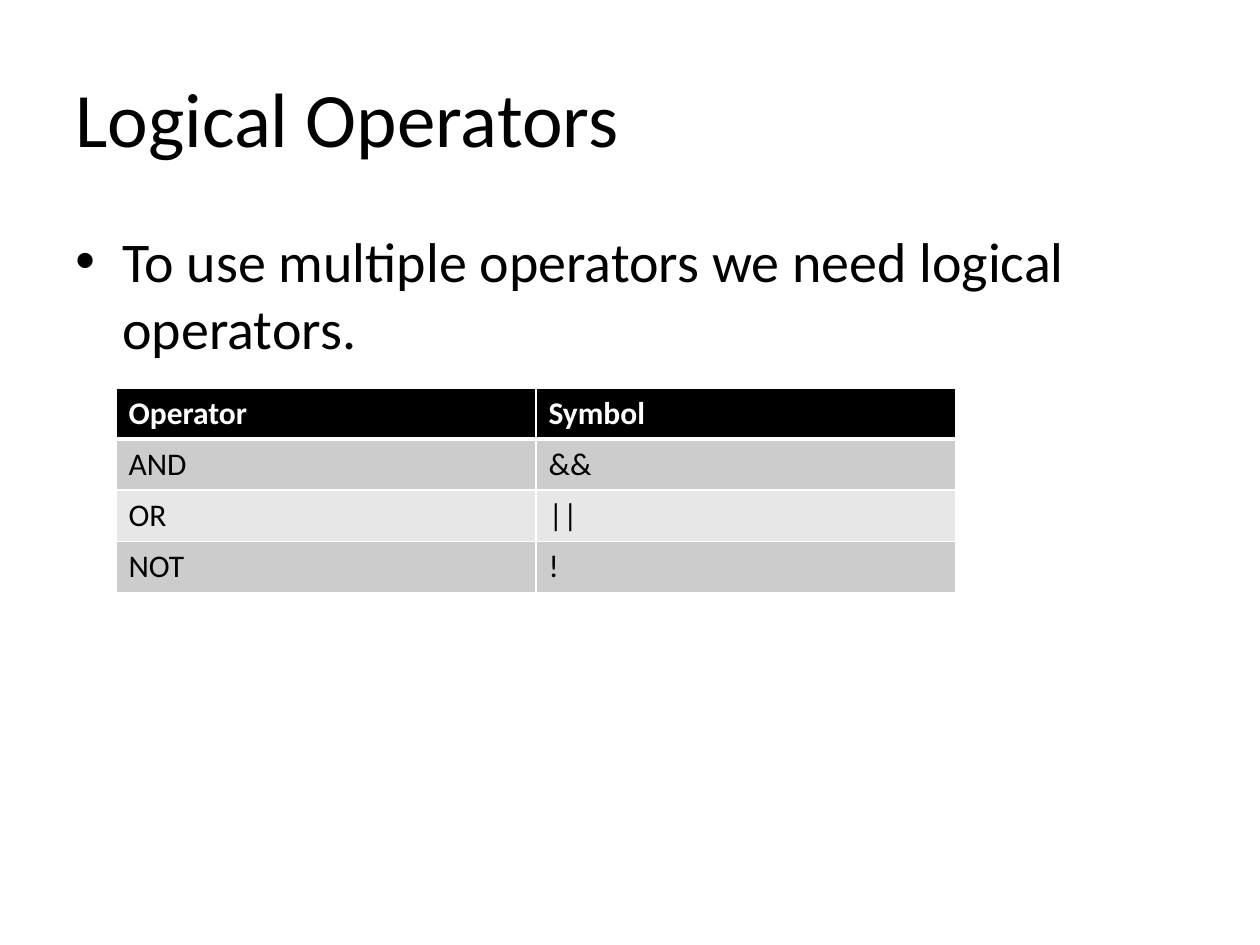
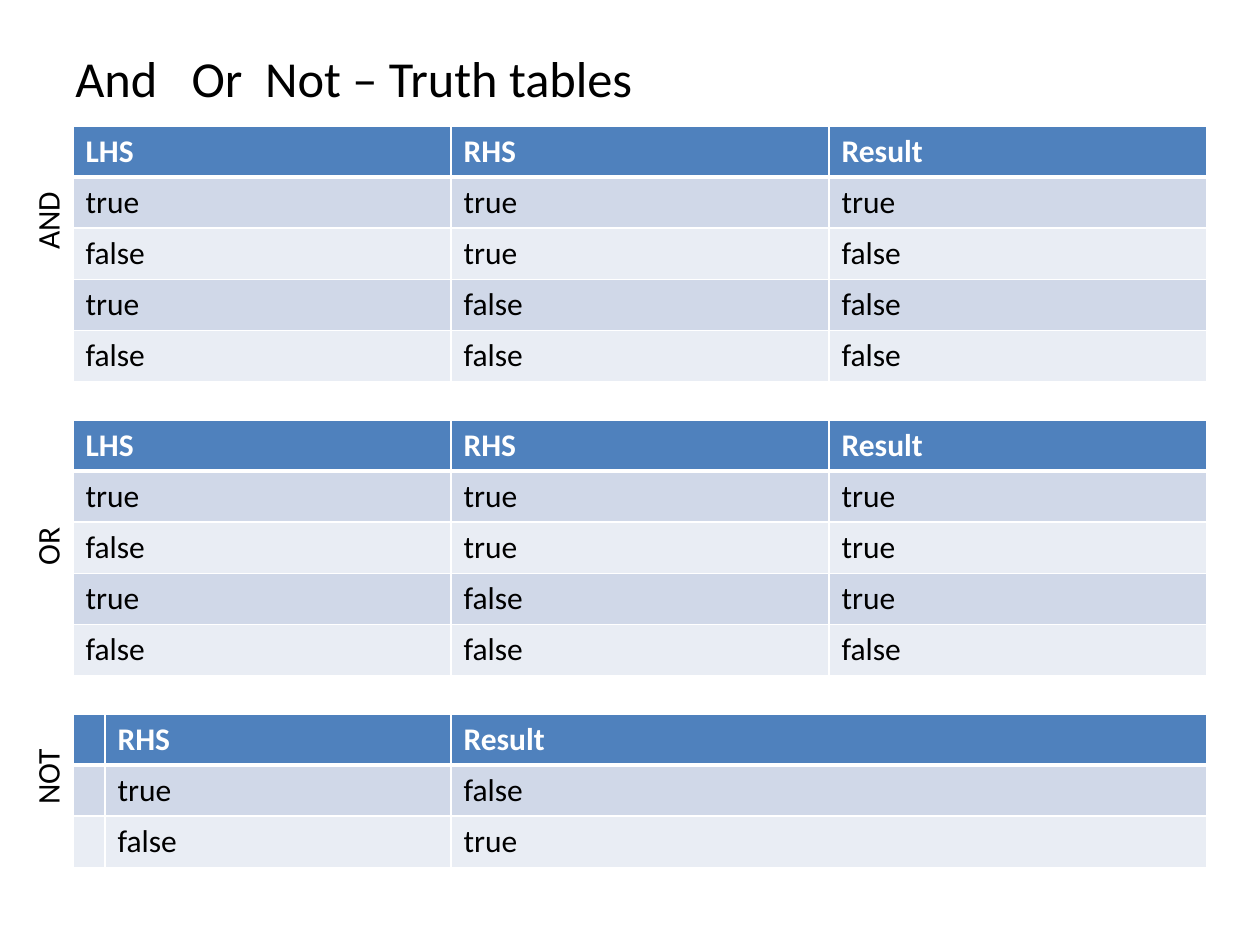
from dataclasses import dataclass
from itertools import product
from lxml import etree
from pptx import Presentation
from pptx.dml.color import RGBColor
from pptx.enum.text import MSO_ANCHOR, MSO_AUTO_SIZE
from pptx.oxml.ns import qn
from pptx.util import Inches, Pt

MIDDLE, TOP = MSO_ANCHOR.MIDDLE, MSO_ANCHOR.TOP
GROW, FIXED = MSO_AUTO_SIZE.SHAPE_TO_FIT_TEXT, MSO_AUTO_SIZE.NONE
SCALE = Inches(1) / 126
LEFT, WIDE = 63, 1134
ROW = 51


@dataclass(frozen=True)
class Theme:
    font: str = "Calibri"
    ink: str = "000000"
    paper: str = "FFFFFF"
    gray: tuple = ("000000", "CCCCCC", "E7E7E7")
    blue: tuple = ("4F81BD", "D0D8E8", "E9EDF4")
    title: float = 44
    small: float = 28.8
    body: float = 32
    cell: float = 18
    thin: float = 1
    thick: float = 3


THEME = Theme()


def px(num):
    return round(num * SCALE)


def put(item, **vals):
    for name, val in vals.items():
        setattr(item, name, val)


def write(par, text, size, color=THEME.ink, bold=False):
    run = par.add_run()
    run.text = text
    put(run.font, name=THEME.font, size=Pt(size), bold=bold)
    run.font.color.rgb = RGBColor.from_string(color)


def add_text(slide, text, box, size, **frame):
    shape = slide.shapes.add_textbox(*map(px, box))
    style = {"word_wrap": True, "auto_size": FIXED, "vertical_anchor": TOP}
    put(shape.text_frame, **(style | frame))
    write(shape.text_frame.paragraphs[0], text, size)
    return shape


def add_title(slide, text, high, size):
    add_text(slide, text, (LEFT, 38, WIDE, high), size, vertical_anchor=MIDDLE)


def add_bullet(slide, text):
    shape = add_text(slide, text, (LEFT, 220, WIDE, 624), THEME.body)
    par = shape.text_frame.paragraphs[0]
    par.space_before = Pt(THEME.body * 0.2)
    props = par._p.get_or_add_pPr()
    props.set("marL", str(px(47)))
    props.set("indent", str(-px(47)))
    etree.SubElement(props, qn("a:buFont"), typeface="Arial")
    etree.SubElement(props, qn("a:buChar"), char="•")


def add_label(slide, text, mid, wide):
    high = 50
    box = (47 - wide / 2, mid - high / 2, wide, high)
    shape = add_text(slide, text, box, THEME.cell, word_wrap=False, auto_size=GROW)
    shape.rotation = 270


def add_edge(cell, side, width):
    props = cell._tc.get_or_add_tcPr()
    line = etree.SubElement(props, qn("a:ln" + side), w=str(Pt(width)))
    fill = etree.SubElement(line, qn("a:solidFill"))
    etree.SubElement(fill, qn("a:srgbClr"), val=THEME.paper)


def style_cell(cell, text, row, fills):
    head = row == 0
    for side in "LRTB":
        heavy = (side, row) in (("B", 0), ("T", 1))
        add_edge(cell, side, THEME.thick if heavy else THEME.thin)
    cell.fill.solid()
    shade = fills[0] if head else fills[2 - row % 2]
    cell.fill.fore_color.rgb = RGBColor.from_string(shade)
    if text:
        par = cell.text_frame.paragraphs[0]
        write(par, text, THEME.cell, THEME.paper if head else THEME.ink, head)


def add_grid(slide, left, top, cols, rows, fills):
    size = len(rows), len(cols)
    box = map(px, (left, top, sum(cols), ROW * len(rows)))
    table = slide.shapes.add_table(*size, *box).table
    for col, wide in zip(table.columns, cols):
        col.width = px(wide)
    for row in table.rows:
        row.height = px(ROW)
    for row, col in product(*map(range, size)):
        style_cell(table.cell(row, col), rows[row][col], row, fills)


def truth(test):
    rows = [("LHS", "RHS", "Result")]
    for right, left in product((True, False), repeat=2):
        vals = left, right, test(left, right)
        rows.append([str(val).lower() for val in vals])
    return rows


def add_logic(slide):
    add_title(slide, "Logical Operators", 158, THEME.title)
    add_bullet(slide, "To use multiple operators we need logical operators.")
    rows = [("Operator", "Symbol"), ("AND", "&&"), ("OR", "||"), ("NOT", "!")]
    add_grid(slide, 116, 388, [420] * 2, rows, THEME.gray)


def add_truth(slide):
    add_title(slide, "And   Or  Not – Truth tables", 78, THEME.small)
    thirds = [378] * 3
    flips = [("", "RHS", "Result"), ("", "true", "false"), ("", "false", "true")]
    grids = [
        (thirds, truth(lambda left, right: left and right)),
        (thirds, truth(lambda left, right: left or right)),
        ([32, 346, 756], flips),
    ]
    for num, (cols, rows) in enumerate(grids):
        add_grid(slide, 73, 126 + 294 * num, cols, rows, THEME.blue)
    for text, mid, wide in (("AND", 220, 84), ("OR", 546, 64), ("NOT", 776, 82)):
        add_label(slide, text, mid, wide)


def main():
    deck = Presentation()
    put(deck, slide_width=px(1260), slide_height=px(945))
    for build in (add_logic, add_truth):
        build(deck.slides.add_slide(deck.slide_layouts[6]))
    deck.save("out.pptx")


main()
